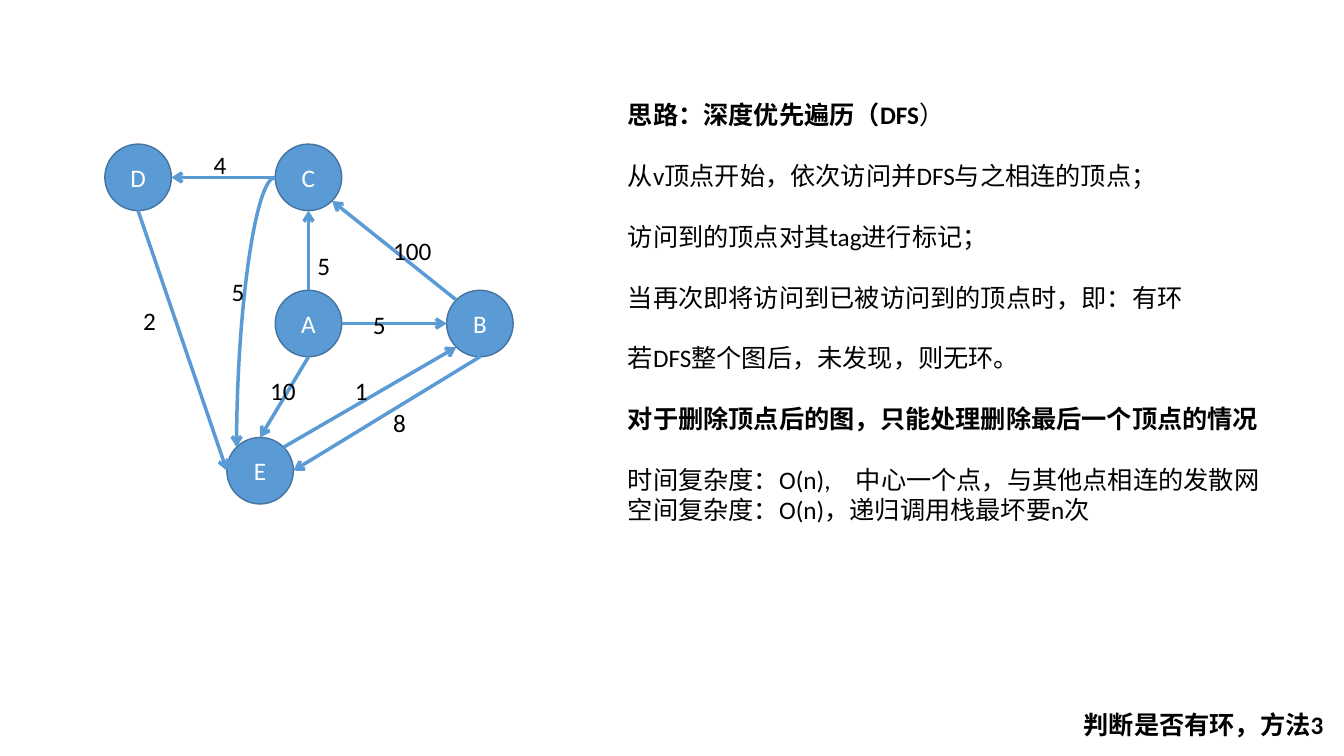
import math
import pptx
import pptx.util
import pptx.dml.color
import pptx.enum.shapes
import pptx.enum.text
import pptx.oxml.ns
import lxml.etree

Inches, Pt = pptx.util.Inches, pptx.util.Pt
qn = pptx.oxml.ns.qn
COLORS = {"blue": "5B9BD5", "outline": "43739E", "text": "000000", "white": "FFFFFF"}
FONT, CJK_FONT = "Calibri", "Noto Sans CJK SC"
RADIUS = 0.33
DIAG = math.sqrt(0.5)
SITES = {"n": (0, -1), "s": (0, 1), "w": (-1, 0), "e": (1, 0),
         "nw": (-DIAG, -DIAG), "sw": (-DIAG, DIAG), "se": (DIAG, DIAG)}

NODES = {"A": (2.02, 1.78), "C": (2.02, 0.33), "B": (3.72, 1.78),
         "D": (0.33, 0.33), "E": (1.54, 3.24)}
EDGES = [
    ("A", "e", "B", "w", "5", 2.56, 1.59, 0.38),
    ("B", "nw", "C", "se", "100", 2.76, 0.86, 0.85),
    ("A", "n", "C", "s", "5", 2.01, 1.0, 0.38),
    ("A", "s", "E", "n", "10", 1.54, 2.24, 0.47),
    ("C", "w", "D", "e", "4", 0.98, 0, 0.38),
    ("D", "s", "E", "w", "2", 0.28, 1.55, 0.38),
    ("B", "s", "E", "e", "8", 2.76, 2.56, 0.38),
    ("E", "nw", "B", "sw", "1", 2.38, 2.24, 0.38),
    ("C", "w", "E", "nw", "5", 1.16, 1.26, 0.38),
]
EDGES[7] = ("E", "ne") + EDGES[7][2:]
SITES["ne"] = (DIAG, -DIAG)
CURVED = ("C", "E")

IDEAS = [
    ("思路：深度优先遍历（DFS", True),
    ("从v顶点开始，依次访问并DFS与之相连的顶点；", False),
    ("访问到的顶点对其tag进行标记；", False),
    ("当再次即将访问到已被访问到的顶点时，即：有环", False),
    ("若DFS整个图后，未发现，则无环。", False),
    ("对于删除顶点后的图，只能处理删除最后一个顶点的情况", True),
    ("时间复杂度：O(n),\u3000中心一个点，与其他点相连的发散网", False),
    ("空间复杂度：O(n)，递归调用栈最坏要n次", False),
]


def rgb(name):
    return pptx.dml.color.RGBColor.from_string(COLORS[name])


def style(p, color="text", bold=False):
    p.font.name, p.font.size, p.font.bold = FONT, Pt(18), bold
    p.font.color.rgb = rgb(color)


def add_text(shapes, left, top, width, height=0.4):
    tf = shapes.add_textbox(Inches(left), Inches(top), Inches(width), Inches(height)).text_frame
    tf.word_wrap = True
    tf.auto_size = pptx.enum.text.MSO_AUTO_SIZE.SHAPE_TO_FIT_TEXT
    return tf


def add_node(shapes, name, x, y):
    sp = shapes.add_shape(pptx.enum.shapes.MSO_SHAPE.OVAL, Inches(x - RADIUS), Inches(y - RADIUS),
                          Inches(2 * RADIUS), Inches(2 * RADIUS))
    sp.shadow.inherit = False
    sp.fill.solid()
    sp.fill.fore_color.rgb = rgb("blue")
    sp.line.color.rgb = rgb("outline")
    sp.line.width = Pt(1)
    tf = sp.text_frame
    tf.vertical_anchor = pptx.enum.text.MSO_ANCHOR.MIDDLE
    p = tf.paragraphs[0]
    p.text = name
    p.alignment = pptx.enum.text.PP_ALIGN.CENTER
    style(p, "white")


def add_arrow(shapes, start, end, curved):
    kinds = pptx.enum.shapes.MSO_CONNECTOR
    c = shapes.add_connector(kinds.CURVE if curved else kinds.STRAIGHT,
                             *(Inches(v) for v in start + end))
    c.line.color.rgb = rgb("blue")
    c.line.width = Pt(2.5)
    sp_pr = c.element.spPr
    if curved:
        sp_pr.find(qn("a:prstGeom")).set("prst", "curvedConnector2")
    lxml.etree.SubElement(sp_pr.find(qn("a:ln")), qn("a:tailEnd")).set("type", "arrow")
    lxml.etree.SubElement(sp_pr, qn("a:effectLst"))


def add_graph(s, left, top):
    shapes = s.shapes.add_group_shape().shapes
    centers = {name: (left + x, top + y) for name, (x, y) in NODES.items()}

    def site(node, side):
        return tuple(c + RADIUS * d for c, d in zip(centers[node], SITES[side]))

    for name, (x, y) in centers.items():
        add_node(shapes, name, x, y)
    for source, out, target, into, weight, x, y, width in EDGES:
        add_arrow(shapes, site(source, out), site(target, into), (source, target) == CURVED)
        p = add_text(shapes, left + x, top + y, width).paragraphs[0]
        p.text = weight
        style(p)


def add_ideas(s, left, top, width, height):
    tf = add_text(s.shapes, left, top, width, height)
    for i, (text, bold) in enumerate(IDEAS):
        p = tf.add_paragraph() if i else tf.paragraphs[0]
        p.text = text
        style(p, bold=bold)
        p.space_before = Pt(21.8 if 0 < i < len(IDEAS) - 1 else 0)
    p = tf.paragraphs[0]
    p.runs[0].font.bold = True
    r = p.add_run()
    r.text = "）"
    r.font.bold = False


def add_caption(s, left, top, width):
    p = add_text(s.shapes, left, top, width).paragraphs[0]
    r = p.add_run()
    r.text = "判断是否有环，方法3"
    style(r, bold=True)
    lxml.etree.SubElement(r.font._element if hasattr(r.font, "_element") else r._r.get_or_add_rPr(),
                          qn("a:ea")).set("typeface", CJK_FONT)


prs = pptx.Presentation()
prs.slide_width, prs.slide_height = Inches(13.33), Inches(7.5)
s = prs.slides.add_slide(prs.slide_layouts[6])
add_graph(s, 1.04, 1.43)
add_caption(s, 10.65, 6.99, 2.75)
add_ideas(s, 6.13, 0.94, 6.66, 4.34)
prs.save("out.pptx")
